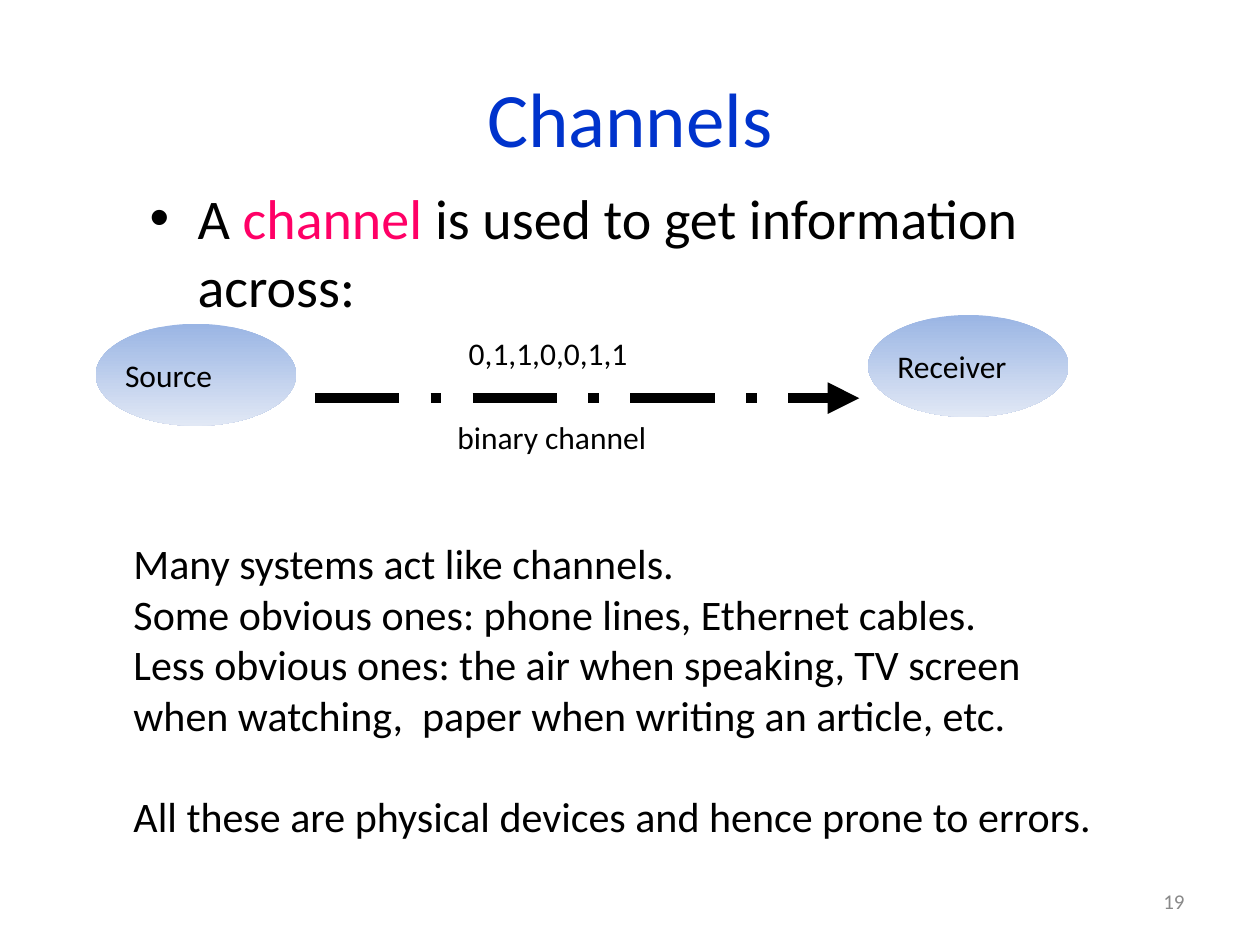
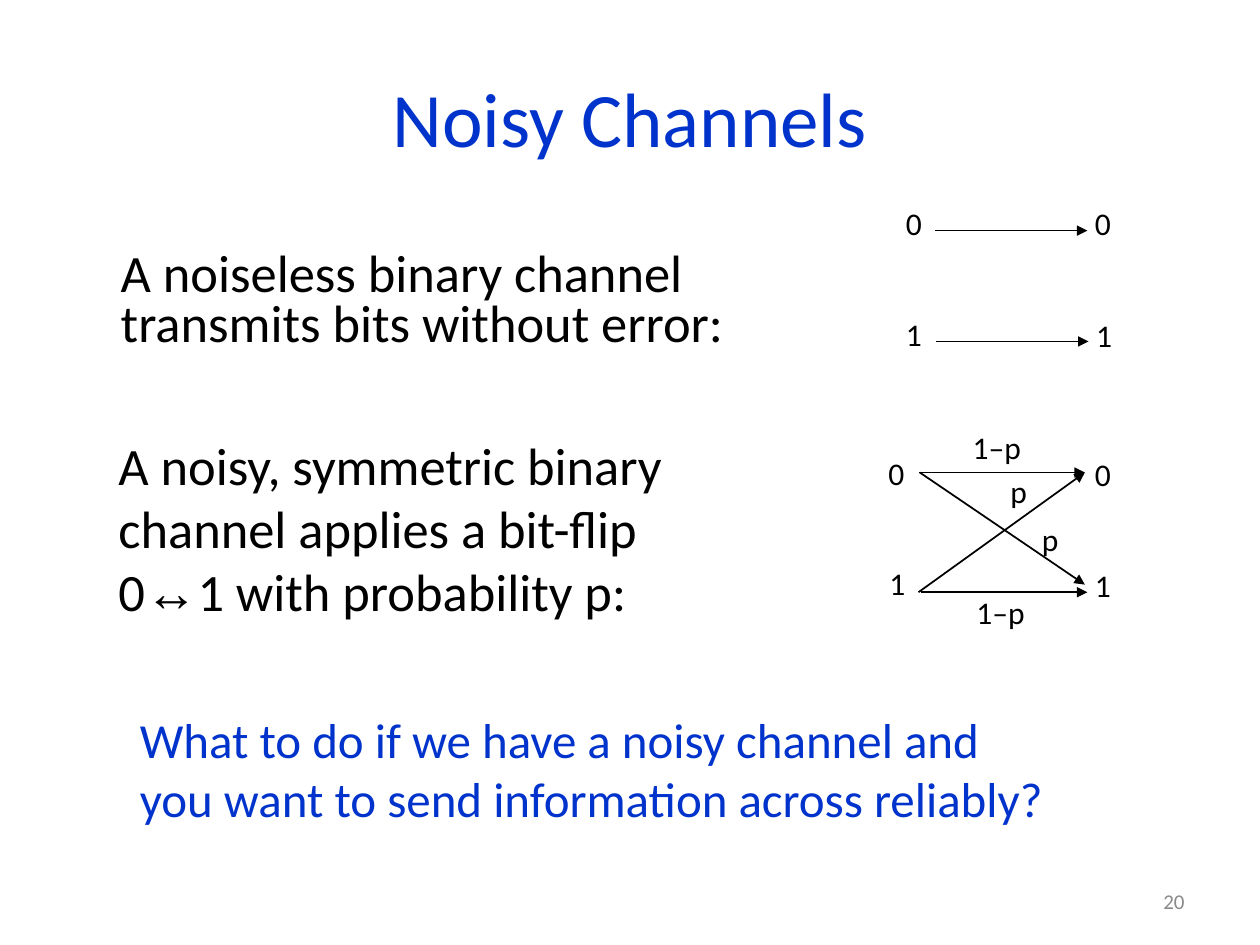
from dataclasses import dataclass

from lxml.etree import SubElement
from pptx import Presentation
from pptx.dml.color import RGBColor
from pptx.enum.dml import MSO_LINE
from pptx.enum.shapes import MSO_CONNECTOR, MSO_SHAPE
from pptx.enum.text import MSO_ANCHOR, MSO_AUTO_SIZE, PP_ALIGN
from pptx.oxml.ns import qn
from pptx.util import Inches, Pt


@dataclass(frozen=True)
class Theme:
    font: str = "Calibri"
    symbol_font: str = "Arial"
    ink: RGBColor = RGBColor(0x00, 0x00, 0x00)
    blue: RGBColor = RGBColor(0x00, 0x33, 0xCC)
    pink: RGBColor = RGBColor(0xFF, 0x00, 0x66)
    grey: RGBColor = RGBColor(0x89, 0x89, 0x89)
    oval_top: RGBColor = RGBColor(0x9A, 0xB5, 0xE4)
    oval_bottom: RGBColor = RGBColor(0xE1, 0xE8, 0xF5)
    title: int = 44
    lead: int = 32
    statement: int = 30
    question: int = 28
    body: int = 24
    label: int = 18
    footer: int = 12


theme = Theme()


def write(shape, paragraphs, size, color=theme.ink, align=PP_ALIGN.LEFT,
          anchor=MSO_ANCHOR.TOP, inset=(0, 0), wrap=True):
    """Fill a shape with paragraphs, each a list of (text, overrides) runs or
    plain strings; "\\n" is a line break. Returns the paragraphs."""
    frame = shape.text_frame
    frame.word_wrap = wrap
    frame.vertical_anchor = anchor
    frame.margin_left = frame.margin_right = Inches(inset[0])
    frame.margin_top = frame.margin_bottom = Inches(inset[1])
    for index, pieces in enumerate(paragraphs):
        paragraph = frame.add_paragraph() if index else frame.paragraphs[0]
        paragraph.alignment = align
        for piece in pieces:
            if piece == "\n":
                paragraph.add_line_break()
                continue
            text, style = (piece, {}) if isinstance(piece, str) else piece
            run = paragraph.add_run()
            run.text = text
            run.font.size = Pt(size)
            run.font.name = style.get("font", theme.font)
            run.font.color.rgb = style.get("color", color)
    return frame.paragraphs


def add_arrow(slide, start, end, width=1):
    arrow = slide.shapes.add_connector(
        MSO_CONNECTOR.STRAIGHT, *map(Inches, (*start, *end)))
    arrow.line.color.rgb = theme.ink
    arrow.line.width = Pt(width)
    if width > 1:
        arrow.line.dash_style = MSO_LINE.LONG_DASH_DOT
    SubElement(arrow.line._get_or_add_ln(), qn("a:tailEnd"), type="triangle")
    SubElement(arrow._element.spPr, qn("a:effectLst"))


deck = Presentation()
deck.slide_width, deck.slide_height = Inches(10), Inches(7.5)
padded = (0.1, 0.05)

# Title and page number on both slides
slides = []
for title, number in (("Channels", "19"), ("Noisy Channels", "20")):
    slide = deck.slides.add_slide(deck.slide_layouts[6])
    slides.append(slide)
    heading = slide.shapes.add_textbox(*map(Inches, (0.5, 0.3, 9, 1.25)))
    write(heading, [[title]], theme.title, theme.blue, PP_ALIGN.CENTER,
          MSO_ANCHOR.MIDDLE, padded)
    page_number = slide.shapes.add_textbox(*map(Inches, (7.17, 6.95, 2.33, 0.4)))
    write(page_number, [[number]], theme.footer, theme.grey, PP_ALIGN.RIGHT,
          MSO_ANCHOR.MIDDLE, padded)
channels, noisy = slides

# Channels: definition
definition = channels.shapes.add_textbox(*map(Inches, (1.09, 1.41, 7.5, 1.84)))
bullet = write(definition, [["A ", ("channel", {"color": theme.pink}),
                             " is used to get information across:"]],
               theme.lead, inset=padded)[0]
bullet.space_before = Pt(8)
bullet_format = bullet._p.get_or_add_pPr()
bullet_format.set("marL", str(Inches(0.38)))
bullet_format.set("indent", str(Inches(-0.38)))
SubElement(bullet_format, qn("a:buFont"), typeface=theme.symbol_font)
SubElement(bullet_format, qn("a:buChar"), char="•")

# Channels: source, receiver and the line between them
for name, left, top in (("Source", 0.76, 2.57), ("Receiver", 6.89, 2.5)):
    party = channels.shapes.add_shape(
        MSO_SHAPE.OVAL, *map(Inches, (left, top, 1.59, 0.81)))
    party.shadow.inherit = False
    party.line.fill.background()
    party.fill.gradient()
    party.fill.gradient_angle = 270
    for stop, shade in zip(party.fill.gradient_stops,
                           (theme.oval_top, theme.oval_bottom)):
        stop.color.rgb = shade
    write(party, [[name]], theme.label, anchor=MSO_ANCHOR.MIDDLE, wrap=False)
add_arrow(channels, (2.5, 3.16), (6.82, 3.16), width=6)

# Channels: examples
examples = channels.shapes.add_textbox(*map(Inches, (1.06, 4.27, 7.77, 2.4)))
conclusion = write(examples, [
    ["Many systems act like channels."],
    ["Some obvious ones: phone lines, Ethernet cables."],
    ["Less obvious ones: the air when speaking, TV screen when watching,  "
     "paper when writing an article, etc."],
    ["All these are physical devices and hence prone to errors."],
], theme.body)[-1]
conclusion.space_before = Pt(29)

# Noisy Channels: statements and question
noiseless = noisy.shapes.add_textbox(*map(Inches, (0.86, 1.95, 6.21, 0.96)))
claim = write(noiseless, [["A noiseless binary channel ", "\n",
                           "transmits bits without error:"]],
              theme.statement, inset=padded)[0]
claim.line_spacing = 0.8
claim.space_before = Pt(7.5)

symmetric = noisy.shapes.add_textbox(*map(Inches, (0.94, 3.44, 5.35, 1.48)))
write(symmetric, [["A noisy, symmetric binary ", "\n",
                   "channel applies a bit-flip ", "\n",
                   "0", ("↔", {"font": theme.symbol_font}),
                   "1 with probability p:"]], theme.statement)

question = noisy.shapes.add_textbox(*map(Inches, (1.11, 5.63, 7.21, 0.93)))
write(question, [["What to do if we have a noisy channel and ", "\n",
                  "you want to send information across reliably?"]],
      theme.question, theme.blue, wrap=False)

# Noisy Channels: bit transitions
for start, end in (
    ((7.42, 1.83), (8.63, 1.83)),
    ((7.43, 2.71), (8.64, 2.71)),
    ((7.3, 3.75), (8.61, 4.64)),
    ((7.31, 4.7), (8.63, 4.7)),
    ((7.29, 4.7), (8.61, 3.75)),
    ((7.29, 3.75), (8.61, 3.75)),
):
    add_arrow(noisy, start, end)

# Labels of both diagrams, in boxes that grow with their text
for slide, text, left, top, width in (
    (channels, "binary channel", 3.63, 3.32, 1.52),
    (channels, "0,1,1,0,0,1,1", 3.72, 2.65, 1.28),
    (noisy, "0", 7.19, 1.62, 0.13),
    (noisy, "0", 8.69, 1.62, 0.13),
    (noisy, "1", 7.19, 2.5, 0.13),
    (noisy, "1", 8.7, 2.51, 0.13),
    (noisy, "0", 7.05, 3.6, 0.13),
    (noisy, "0", 8.69, 3.61, 0.13),
    (noisy, "1", 7.06, 4.48, 0.13),
    (noisy, "1", 8.69, 4.49, 0.13),
    (noisy, "1–p", 7.72, 3.4, 0.4),
    (noisy, "1–p", 7.75, 4.71, 0.4),
    (noisy, "p", 8.02, 3.75, 0.13),
    (noisy, "p", 8.27, 4.13, 0.13),
):
    label = slide.shapes.add_textbox(*map(Inches, (left, top, width, 0.3)))
    write(label, [[text]], theme.label, wrap=False)
    label.text_frame.auto_size = MSO_AUTO_SIZE.SHAPE_TO_FIT_TEXT

deck.save("out.pptx")
